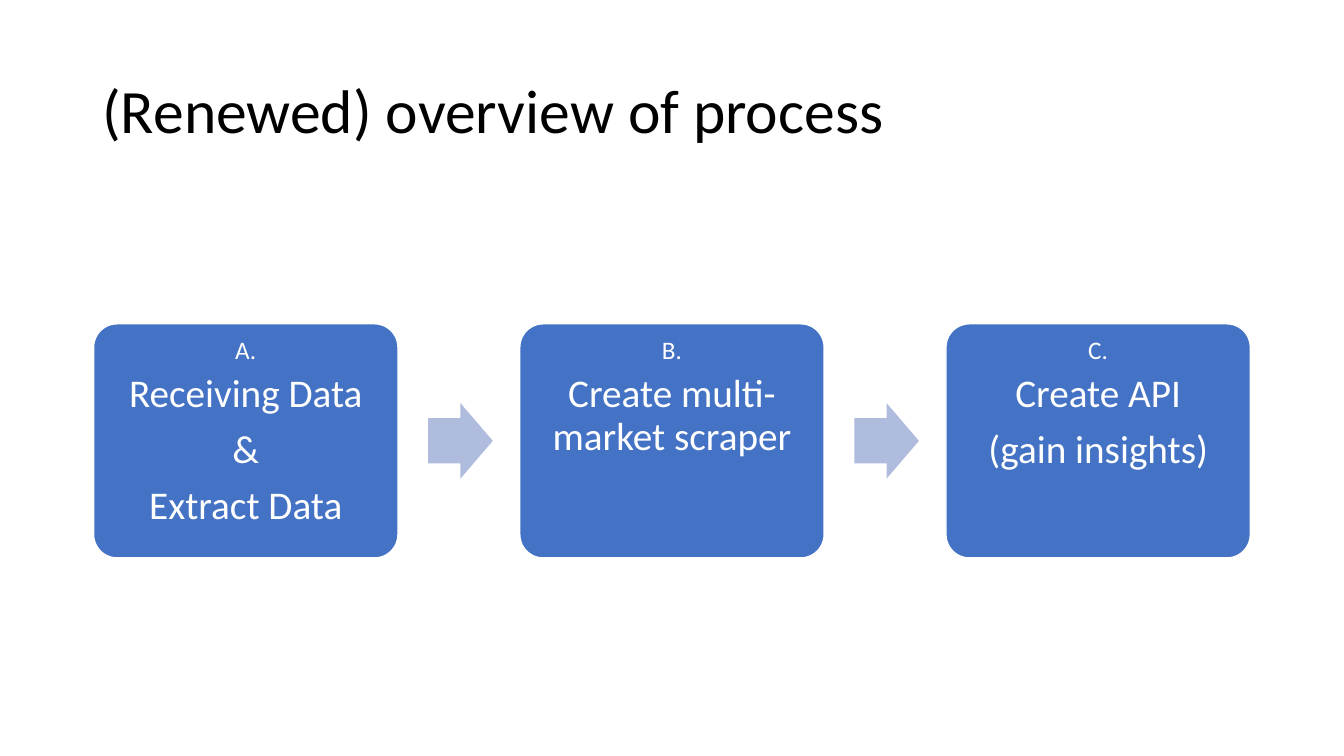
from dataclasses import dataclass

from lxml.etree import SubElement
from pptx import Presentation
from pptx.dml.color import RGBColor as RGB
from pptx.enum.shapes import MSO_SHAPE as Shape
from pptx.enum.text import MSO_ANCHOR as Anchor, PP_ALIGN as Align
from pptx.oxml.ns import qn
from pptx.util import Cm, Pt

TITLE = "(Renewed) overview of process"
STEPS = [
    ("A.", ["Receiving Data", "&", "Extract Data"]),
    ("B.", ["Create multi-market scraper"]),
    ("C.", ["Create API", "(gain insights)"]),
]


@dataclass(frozen=True)
class Theme:
    font: str = "Calibri"
    black: RGB = RGB(0, 0, 0)
    white: RGB = RGB(255, 255, 255)
    card: RGB = RGB(0x44, 0x72, 0xC4)
    arrow: RGB = RGB(0xB0, 0xBC, 0xDE)
    title_size: int = 44
    letter_size: int = 18
    step_size: int = 28


THEME = Theme()

# Centimetres
LEFT, MIDDLE, PITCH = 2.36, 11.11, 10.74
CARD_W, CARD_H, CARD_INSET = 7.67, 5.9, 0.18
ARROW_W, ARROW_H, ARROW_OFFSET = 1.63, 1.9, 8.43


def add_run(p, text, size, color):
    p.line_spacing = 0.9
    r = p.add_run()
    r.text = text
    r.font.name, r.font.size = THEME.font, Pt(size)
    r.font.color.rgb = color


def space_after_percent(p, percent):
    """Set spacing relative to the type size, which python-pptx cannot express."""
    p.space_after = Pt(0)
    spacing = p._p.pPr.find(qn("a:spcAft"))
    spacing.remove(spacing[0])
    SubElement(spacing, qn("a:spcPct")).set("val", str(percent * 1000))


def add_block(s, kind, left, width, height, fill):
    """Add a flat shape centred on the row of steps."""
    sp = s.shapes.add_shape(kind, Cm(left), Cm(MIDDLE - height / 2), Cm(width), Cm(height))
    sp.shadow.inherit = False
    sp.fill.solid()
    sp.fill.fore_color.rgb = fill
    sp.line.fill.background()
    return sp


def add_card(s, left, letter, lines):
    sp = add_block(s, Shape.ROUNDED_RECTANGLE, left, CARD_W, CARD_H, THEME.card)
    sp.adjustments[0] = 0.1
    sp.line.color.rgb = THEME.white
    sp.line.width = Pt(1)
    tf = sp.text_frame
    tf.word_wrap = True
    tf.vertical_anchor = Anchor.TOP
    tf.margin_left = tf.margin_right = tf.margin_top = tf.margin_bottom = Cm(CARD_INSET)
    for i, text in enumerate([letter, *lines]):
        p = tf.add_paragraph() if i else tf.paragraphs[0]
        p.alignment = Align.CENTER
        add_run(p, text, THEME.step_size if i else THEME.letter_size, THEME.white)
        space_after_percent(p, 35)


def add_arrow(s, left):
    sp = add_block(s, Shape.RIGHT_ARROW, left, ARROW_W, ARROW_H, THEME.arrow)
    sp.adjustments[0], sp.adjustments[1] = 0.6, 0.5


def add_title(s):
    tf = s.shapes.add_textbox(Cm(2.33), Cm(1.01), Cm(29.21), Cm(3.68)).text_frame
    tf.word_wrap = True
    tf.vertical_anchor = Anchor.MIDDLE
    add_run(tf.paragraphs[0], TITLE, THEME.title_size, THEME.black)


def main():
    prs = Presentation()
    prs.slide_width, prs.slide_height = Cm(33.87), Cm(19.05)
    s = prs.slides.add_slide(prs.slide_layouts[6])
    add_title(s)
    for i, (letter, lines) in enumerate(STEPS):
        left = LEFT + i * PITCH
        add_card(s, left, letter, lines)
        if i < len(STEPS) - 1:
            add_arrow(s, left + ARROW_OFFSET)
    prs.save("out.pptx")


if __name__ == "__main__":
    main()
